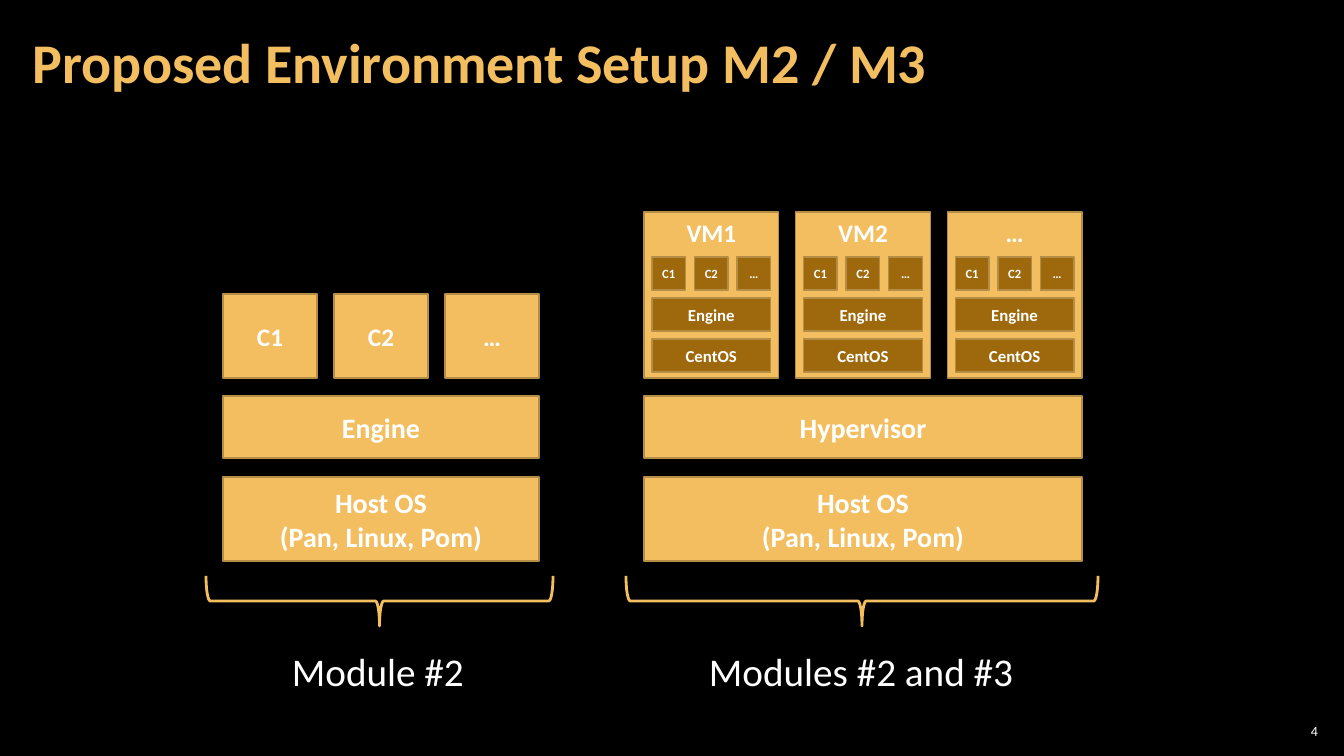
from pptx import Presentation
from pptx.dml.color import RGBColor
from pptx.enum.shapes import MSO_SHAPE
from pptx.enum.text import MSO_ANCHOR, PP_ALIGN
from pptx.util import Pt

BLACK = RGBColor(0x00, 0x00, 0x00)
WHITE = RGBColor(0xFF, 0xFF, 0xFF)
GOLD = RGBColor(0xF3, 0xBE, 0x60)
BROWN = RGBColor(0x9E, 0x69, 0x0C)
EDGE = RGBColor(0xB4, 0x8D, 0x47)
FONT = "Calibri"

# Content: lengths in px, boxes as left, top, width, height
TITLE = "Proposed Environment Setup M2 / M3"
PAGE_NUMBER = "4"
CONTAINERS = ["C1", "C2", "…"]
MACHINES = ["VM1", "VM2", "…"]
MACHINE_LAYERS = ["Engine", "CentOS"]
HOST = ["Host OS", "(Pan, Linux, Pom)"]
STACKS = [
    {"left": 223, "width": 316, "engine": "Engine", "brace": (206, 347),
     "module": "Module #2", "module_box": (282, 642, 195, 57)},
    {"left": 644, "width": 438, "engine": "Hypervisor", "brace": (626, 472),
     "module": "Modules #2 and #3", "module_box": (699, 642, 329, 57)},
]
ENGINE_TOP, ENGINE_HEIGHT = 396, 62
HOST_TOP, HOST_HEIGHT = 477, 84
CONTAINER_TOP, CONTAINER_HEIGHT = 294, 84
MACHINE_TOP, MACHINE_HEIGHT = 212, 166
BRACE_TOP, BRACE_DEPTH = 576, 50
GAP = 17
INNER_MARGIN, INNER_TOP, INNER_SIZE, INNER_GAP, INNER_PITCH = 8, 257, 33, 9, 41

EMU_PER_PX = 914400 / 100.8


def px(*lengths):
    return [round(length * EMU_PER_PX) for length in lengths]


def write(shape, lines, size, bold=True, color=WHITE, align=PP_ALIGN.CENTER,
          anchor=MSO_ANCHOR.MIDDLE, margins=(0, 5), wrap=True, spacing=None):
    frame = shape.text_frame
    frame.word_wrap = wrap
    frame.vertical_anchor = anchor
    frame.margin_left = frame.margin_right = px(margins[0])[0]
    frame.margin_top = frame.margin_bottom = px(margins[1])[0]
    frame.text = "\n".join(lines)
    for paragraph in frame.paragraphs:
        paragraph.alignment = align
        paragraph.line_spacing = spacing
        font = paragraph.font
        font.name, font.size, font.bold = FONT, Pt(size), bold
        font.color.rgb = color


def add_block(slide, box, lines, size, fill=GOLD, **text_format):
    block = slide.shapes.add_shape(MSO_SHAPE.RECTANGLE, *px(*box))
    block.shadow.inherit = False
    block.fill.solid()
    block.fill.fore_color.rgb = fill
    block.line.color.rgb = EDGE
    block.line.width = Pt(1)
    write(block, lines, size, **text_format)


def add_row(slide, left, top, width, height, gap, names, size, **block_format):
    """Spread equal blocks over a width and return their lefts and width."""
    block_width = (width - gap * (len(names) - 1)) / len(names)
    lefts = [left + i * (block_width + gap) for i in range(len(names))]
    for block_left, name in zip(lefts, names):
        add_block(slide, (block_left, top, block_width, height), [name], size,
                  **block_format)
    return lefts, block_width


def add_brace(slide, left, length):
    # The brace is turned a quarter, so its box is upright around the same centre
    box = (left + (length - BRACE_DEPTH) / 2, BRACE_TOP + (BRACE_DEPTH - length) / 2,
           BRACE_DEPTH, length)
    brace = slide.shapes.add_shape(MSO_SHAPE.RIGHT_BRACE, *px(*box))
    brace.rotation = 90
    brace.shadow.inherit = False
    brace.fill.background()
    brace.line.color.rgb = GOLD
    brace.line.width = Pt(2)


def main():
    deck = Presentation()
    deck.slide_width, deck.slide_height = px(1344, 756)
    slide = deck.slides.add_slide(deck.slide_layouts[5])
    slide.background.fill.solid()
    slide.background.fill.fore_color.rgb = BLACK

    # Title and page number
    title = slide.shapes.title
    title.left, title.top, title.width, title.height = px(21, 4, 1055, 122)
    write(title, [TITLE], 40, color=GOLD, align=PP_ALIGN.LEFT, margins=(12, 4),
          spacing=0.9)
    page_number = slide.shapes.add_textbox(*px(1275, 720, 47, 21))
    write(page_number, [PAGE_NUMBER], 10, bold=False, align=PP_ALIGN.RIGHT,
          margins=(4, 4))

    # Shared parts of both stacks
    for stack in STACKS:
        left, width = stack["left"], stack["width"]
        add_block(slide, (left, ENGINE_TOP, width, ENGINE_HEIGHT), [stack["engine"]], 20)
        add_block(slide, (left, HOST_TOP, width, HOST_HEIGHT), HOST, 20)
        add_brace(slide, *stack["brace"])
        module = slide.shapes.add_textbox(*px(*stack["module_box"]))
        write(module, [stack["module"]], 28, bold=False, align=PP_ALIGN.LEFT,
              anchor=MSO_ANCHOR.TOP, margins=(10, 5), wrap=False)

    # Containers straight on the host
    docker_stack, machine_stack = STACKS
    add_row(slide, docker_stack["left"], CONTAINER_TOP, docker_stack["width"],
            CONTAINER_HEIGHT, GAP, CONTAINERS, 18)

    # Virtual machines, each with its own containers and layers
    machine_lefts, machine_width = add_row(
        slide, machine_stack["left"], MACHINE_TOP, machine_stack["width"],
        MACHINE_HEIGHT, GAP, MACHINES, 18, anchor=MSO_ANCHOR.TOP)
    inner_width = machine_width - 2 * INNER_MARGIN
    for machine_left in machine_lefts:
        inner_left = machine_left + INNER_MARGIN
        add_row(slide, inner_left, INNER_TOP, inner_width, INNER_SIZE, INNER_GAP,
                CONTAINERS, 9, fill=BROWN)
        for level, layer in enumerate(MACHINE_LAYERS, start=1):
            add_block(slide, (inner_left, INNER_TOP + level * INNER_PITCH,
                              inner_width, INNER_SIZE), [layer], 12, fill=BROWN)

    deck.save("out.pptx")


if __name__ == "__main__":
    main()
